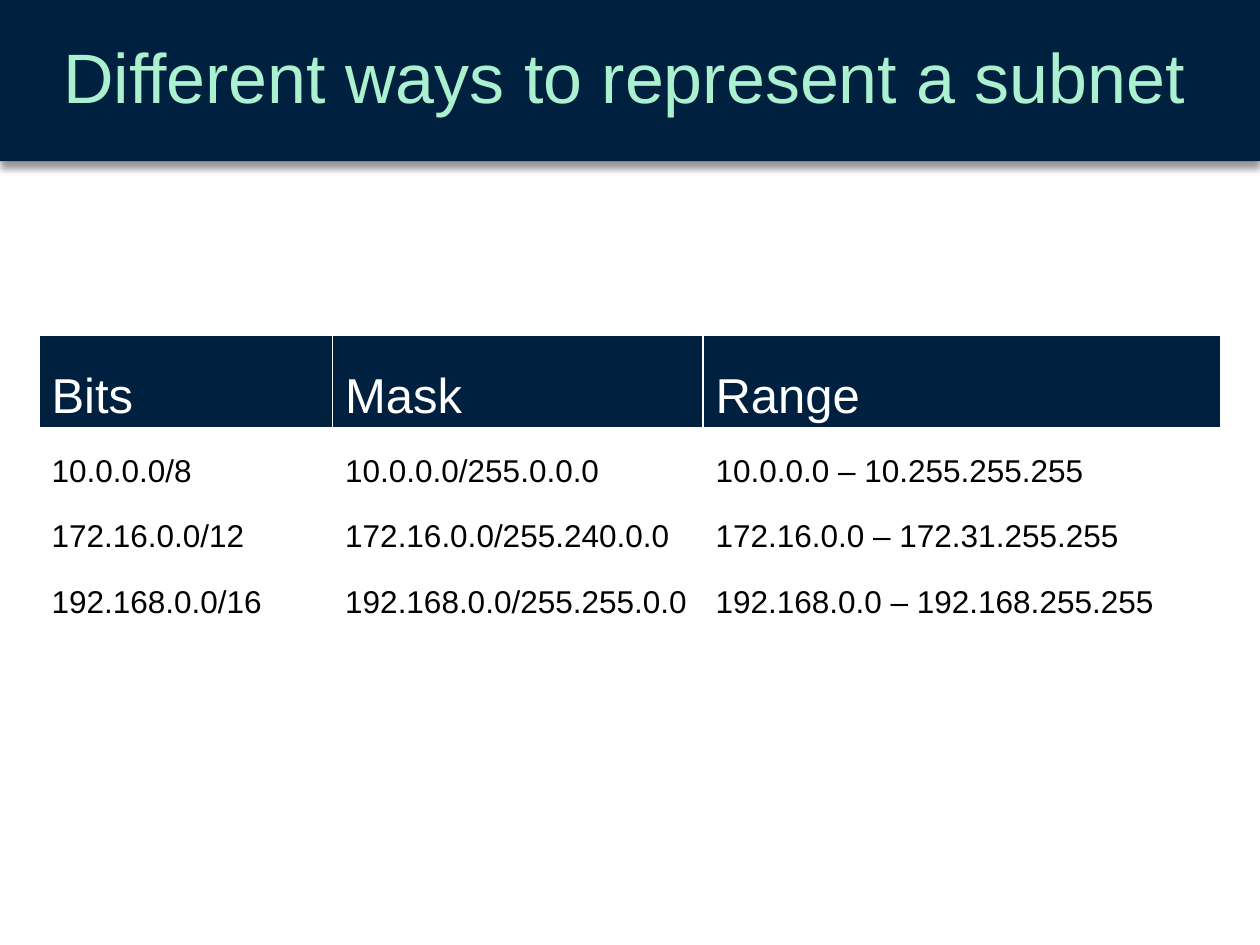
from lxml import etree
from pptx import Presentation
from pptx.dml.color import RGBColor
from pptx.enum.shapes import MSO_SHAPE
from pptx.enum.text import MSO_ANCHOR, MSO_AUTO_SIZE, PP_ALIGN
from pptx.oxml import parse_xml
from pptx.util import Inches, Pt

RECTANGLE = MSO_SHAPE.RECTANGLE
MIDDLE, TOP = MSO_ANCHOR.MIDDLE, MSO_ANCHOR.TOP
LEFT = PP_ALIGN.LEFT
NO_AUTOFIT = MSO_AUTO_SIZE.NONE
TITLE_ONLY = 5
DRAWING_NS = "http://schemas.openxmlformats.org/drawingml/2006/main"
COLORS = {"navy": "00203F", "mint": "ABF1CF", "white": "FFFFFF", "black": "000000"}
COLUMN_WIDTHS = (2.33, 2.94, 4.11)
ROW_HEIGHT = 0.41
SUBNETS = (
    ("Bits", "Mask", "Range"),
    ("10.0.0.0/8", "10.0.0.0/255.0.0.0", "10.0.0.0 – 10.255.255.255"),
    ("172.16.0.0/12", "172.16.0.0/255.240.0.0", "172.16.0.0 – 172.31.255.255"),
    ("192.168.0.0/16", "192.168.0.0/255.255.0.0", "192.168.0.0 – 192.168.255.255"),
)


def fill_solid(target, color):
    """Fill a shape or cell with a named color."""
    target.fill.solid()
    target.fill.fore_color.rgb = RGBColor.from_string(COLORS[color])


def write_text(frame, text, *, size, color, spacing):
    """Write one left-aligned paragraph in the slide's font."""
    frame.text = text
    paragraph = frame.paragraphs[0]
    paragraph.alignment = LEFT
    paragraph.line_spacing = spacing
    paragraph.space_before = Pt(0)
    font = paragraph.runs[0].font
    font.name, font.size, font.bold = "Arial", Pt(size), False
    font.color.rgb = RGBColor.from_string(COLORS[color])


def add_shadow(shape):
    """Give a shape a soft shadow that falls straight down."""
    shape._element.spPr.append(parse_xml(
        f'<a:effectLst xmlns:a="{DRAWING_NS}">'
        f'<a:outerShdw blurRad="{Pt(4)}" dist="{Pt(3)}" dir="5400000" algn="t" rotWithShape="0">'
        f'<a:srgbClr val="{COLORS["black"]}"><a:alpha val="40000"/></a:srgbClr>'
        '</a:outerShdw></a:effectLst>'))


def set_borders(cell, bottom_width):
    """Draw white borders around a cell."""
    properties = cell._tc.get_or_add_tcPr()
    widths = {"lnL": 1, "lnR": 1, "lnT": 1, "lnB": bottom_width}
    for position, (side, width) in enumerate(widths.items()):
        border = etree.Element(f"{{{DRAWING_NS}}}{side}", w=str(Pt(width)))
        fill = etree.SubElement(border, f"{{{DRAWING_NS}}}solidFill")
        etree.SubElement(fill, f"{{{DRAWING_NS}}}srgbClr", val=COLORS["white"])
        properties.insert(position, border)


def add_header(slide, left, top, width, height):
    """Place the banner and the title over it."""
    banner = slide.shapes.add_shape(RECTANGLE, left, top, width, height)
    fill_solid(banner, "navy")
    banner.line.fill.background()
    add_shadow(banner)

    title = slide.shapes.title
    indent = Inches(0.4)
    title.left, title.top = left + indent, top
    title.width, title.height = width - indent, height
    write_text(title.text_frame, "Different ways to represent a subnet",
               size=40, color="mint", spacing=0.9)
    title.text_frame.vertical_anchor = MIDDLE
    title.text_frame.auto_size = NO_AUTOFIT
    slide.shapes._spTree.append(title._element)


def add_subnet_table(slide, left, top, width, height):
    """Place the table of subnet notations."""
    table = slide.shapes.add_table(
        len(SUBNETS), len(COLUMN_WIDTHS), left, top, width, height).table
    table.horz_banding = False
    for column, column_width in zip(table.columns, COLUMN_WIDTHS):
        column.width = Inches(column_width)
    for row_index, notations in enumerate(SUBNETS):
        is_heading = row_index == 0
        for column_index, notation in enumerate(notations):
            cell = table.cell(row_index, column_index)
            fill_solid(cell, "navy" if is_heading else "white")
            set_borders(cell, 3 if is_heading else 1)
            cell.vertical_anchor = MIDDLE if is_heading else TOP
            write_text(cell.text_frame, notation, size=28 if is_heading else 18,
                       color="white" if is_heading else "black", spacing=1.5)


def main():
    """Build and save the slide."""
    deck = Presentation()
    deck.slide_width, deck.slide_height = Inches(10), Inches(7.5)
    slide = deck.slides.add_slide(deck.slide_layouts[TITLE_ONLY])
    add_header(slide, Inches(0), Inches(0), deck.slide_width, Inches(1.28))
    add_subnet_table(slide, Inches(0.31), Inches(2.66), Inches(sum(COLUMN_WIDTHS)),
                     Inches(ROW_HEIGHT * len(SUBNETS)))
    deck.save("out.pptx")


if __name__ == "__main__":
    main()
